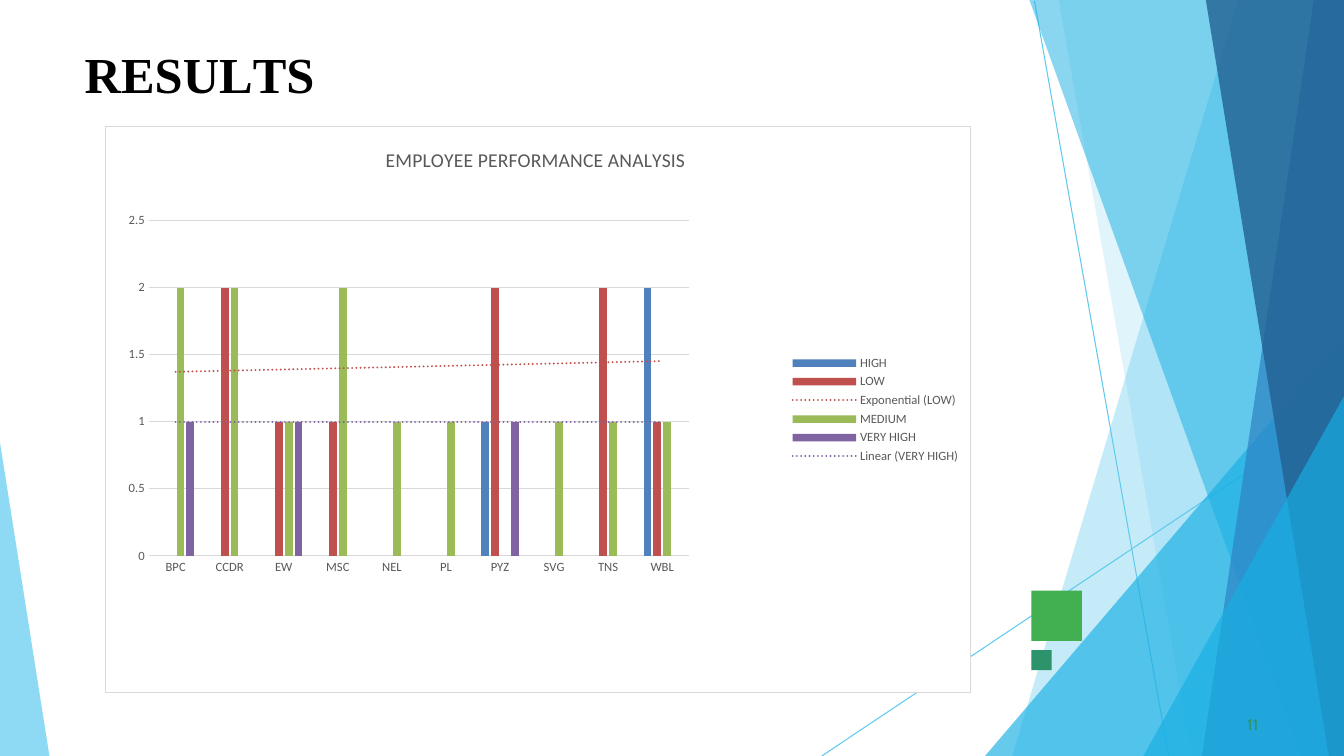
from lxml import etree
from pptx import Presentation, util as u
from pptx.chart.data import CategoryChartData
from pptx.dml.color import RGBColor
from pptx.enum import chart as ch, shapes, text
from pptx.oxml import parse_xml
from pptx.oxml.ns import nsdecls, qn

SKY = RGBColor(0x5F, 0xCA, 0xEE)
CYAN = RGBColor(0x17, 0xAF, 0xE3)
BLUE = RGBColor(0x2D, 0x83, 0xC3)
NAVY = RGBColor(0x22, 0x61, 0x92)
GREEN = RGBColor(0x42, 0xAF, 0x51)
TEAL = RGBColor(0x2D, 0x93, 0x6B)
BLACK = RGBColor(0, 0, 0)
GRAY = RGBColor(0x59, 0x59, 0x59)
RULE = RGBColor(0xD9, 0xD9, 0xD9)
WHITE = RGBColor(0xFF, 0xFF, 0xFF)
NS = nsdecls("c", "a")
W, H = 13.33, 7.5

prs = Presentation()
prs.slide_width, prs.slide_height = u.Inches(W), u.Inches(H)
slide = prs.slides.add_slide(prs.slide_layouts[6])


def paint(shape, color, alpha=100):
    shape.shadow.inherit = False
    shape.line.fill.background()
    shape.fill.solid()
    shape.fill.fore_color.rgb = color
    if alpha < 100:
        tone = shape.fill._xPr.find(".//" + qn("a:srgbClr"))
        etree.SubElement(tone, qn("a:alpha"), val=str(alpha * 1000))


def write(runs, box, size, font, color, bold=False, before=0, indent=0):
    frame = slide.shapes.add_textbox(*map(u.Inches, box)).text_frame
    frame.word_wrap = True
    frame.auto_size = text.MSO_AUTO_SIZE.SHAPE_TO_FIT_TEXT
    frame.margin_left = frame.margin_right = frame.margin_bottom = 0
    frame.margin_top = u.Inches(0.01)
    para = frame.paragraphs[0]
    para.space_before = u.Pt(before)
    para._p.get_or_add_pPr().set("marL", str(u.Inches(indent)))
    for part, gap in runs:
        run = para.add_run()
        run.text = part
        run.font.size, run.font.name, run.font.bold = u.Pt(size), font, bold
        run.font.color.rgb = color
        run._r.get_or_add_rPr().set("spc", str(round(gap * 100)))


for ends in [(10.26, 0.01, 11.59, H), (W, 4.04, 8.15, H)]:
    line = slide.shapes.add_connector(shapes.MSO_CONNECTOR.STRAIGHT, *map(u.Inches, ends))
    line.line.color.rgb = SKY
    line.line.width = u.Pt(0.75)
    etree.SubElement(line._element.spPr, qn("a:effectLst"))

facets = [
    ([(W, 0), (12.28, 0), (10.04, H), (W, H)], SKY, 36),
    ([(W, 0), (10.5, 0), (11.82, H), (W, H)], SKY, 20),
    ([(W, 3.33), (9.77, H), (W, H)], CYAN, 66),
    ([(W, 0), (10.21, 0), (12.91, H), (W, H)], CYAN, 50),
    ([(W, 0), (13.03, 0), (11.92, H), (W, H)], BLUE, 70),
    ([(W, 0), (11.96, 0), (13.18, H), (W, H)], NAVY, 80),
    ([(W, 3.93), (11.34, H), (W, H)], CYAN, 66),
    ([(0, 4.39), (0, H), (0.49, H)], SKY, 70),
]
for points, color, alpha in facets:
    points = [(u.Inches(x), u.Inches(y)) for x, y in points]
    form = slide.shapes.build_freeform(*points[0])
    form.add_line_segments(points[1:], close=True)
    paint(form.convert_to_shape(), color, alpha)

for top, side, color in [(5.86, 0.5, GREEN), (6.45, 0.2, TEAL)]:
    square = slide.shapes.add_shape(
        shapes.MSO_SHAPE.RECTANGLE, *map(u.Inches, (10.23, top, side, side)))
    paint(square, color)

title = [("R", 0), ("E", -0.4), ("S", 0.1), ("U", -0.3), ("L", -4), ("TS", 0)]
write(title, (0.83, 0.42, 2.67, 0.62), 36, "Times New Roman", BLACK,
      bold=True, before=1.1, indent=0.01)
write([("11", 0.1)], (12.33, 7.08, 0.25, 0.19), 11, "Cabin", TEAL,
      before=0.6, indent=0.04)

data = CategoryChartData()
data.categories = ["BPC", "CCDR", "EW", "MSC", "NEL", "PL", "PYZ", "SVG", "TNS", "WBL"]
n = None
levels = [
    ("HIGH", [n, n, n, n, n, n, 1, n, n, 2], "4F81BD", n),
    ("LOW", [n, 2, 1, 1, n, n, 2, n, 2, 1], "C0504D", "exp"),
    ("MEDIUM", [2, 2, 1, 2, 1, 1, n, 1, 1, 1], "9BBB59", n),
    ("VERY HIGH", [1, n, 1, n, n, n, 1, n, n, n], "8064A2", "linear"),
]
for name, vals, tint, trend in levels:
    data.add_series(name, vals)
chart = slide.shapes.add_chart(
    ch.XL_CHART_TYPE.COLUMN_CLUSTERED,
    *map(u.Inches, (1.04, 1.25, 8.59, 5.63)), data).chart
chart.font.size, chart.font.name = u.Pt(10), "Calibri"
chart.font.color.rgb = BLACK

chart.has_title = True
head = chart.chart_title.text_frame
head.text = "EMPLOYEE PERFORMANCE ANALYSIS "
chart.has_legend = True
chart.legend.position = ch.XL_LEGEND_POSITION.RIGHT
chart.legend.include_in_layout = False
cat, val = chart.category_axis, chart.value_axis
fonts = [(head.paragraphs[0].runs[0].font, 14), (chart.legend.font, 9),
         (cat.tick_labels.font, 9), (val.tick_labels.font, 9)]
for font, size in fonts:
    font.size, font.name, font.bold = u.Pt(size), "Calibri", False
    font.color.rgb = GRAY

for axis in (cat, val):
    axis.major_tick_mark = axis.minor_tick_mark = ch.XL_TICK_MARK.NONE
for rule in (cat.format.line, val.major_gridlines.format.line):
    rule.color.rgb = RULE
    rule.width = u.Pt(0.75)
val.format.line.fill.background()
val.minimum_scale, val.maximum_scale, val.major_unit = 0, 2.5, 0.5

plot = chart.plots[0]
plot.gap_width, plot.overlap, plot.vary_by_categories = 219, -27, False
for series, (name, vals, tint, trend) in zip(plot.series, levels):
    series.format.fill.solid()
    series.format.fill.fore_color.rgb = RGBColor.from_string(tint)
    series.invert_if_negative = False
    if trend:
        series._element.find(qn("c:cat")).addprevious(parse_xml(
            f'<c:trendline {NS}><c:spPr><a:ln w="19050" cap="rnd"><a:solidFill>'
            f'<a:srgbClr val="{tint}"/></a:solidFill><a:prstDash val="sysDot"/></a:ln></c:spPr>'
            f'<c:trendlineType val="{trend}"/><c:dispRSqr val="0"/><c:dispEq val="0"/>'
            '</c:trendline>'))

area = chart._chartSpace.chart.plotArea
for old in area.findall(qn("c:layout")):
    area.remove(old)
spots = "".join(f'<c:{key} val="{num}"/>' for key, num in
                [("x", 0.05), ("y", 0.166), ("w", 0.625), ("h", 0.592)])
area.insert(0, parse_xml(
    f'<c:layout {NS}><c:manualLayout><c:layoutTarget val="inner"/><c:xMode val="edge"/>'
    f'<c:yMode val="edge"/>{spots}</c:manualLayout></c:layout>'))
chart._chartSpace.chart.addnext(parse_xml(
    f'<c:spPr {NS}><a:solidFill><a:srgbClr val="{WHITE}"/></a:solidFill>'
    f'<a:ln w="9525"><a:solidFill><a:srgbClr val="{RULE}"/></a:solidFill></a:ln></c:spPr>'))

prs.save("out.pptx")
